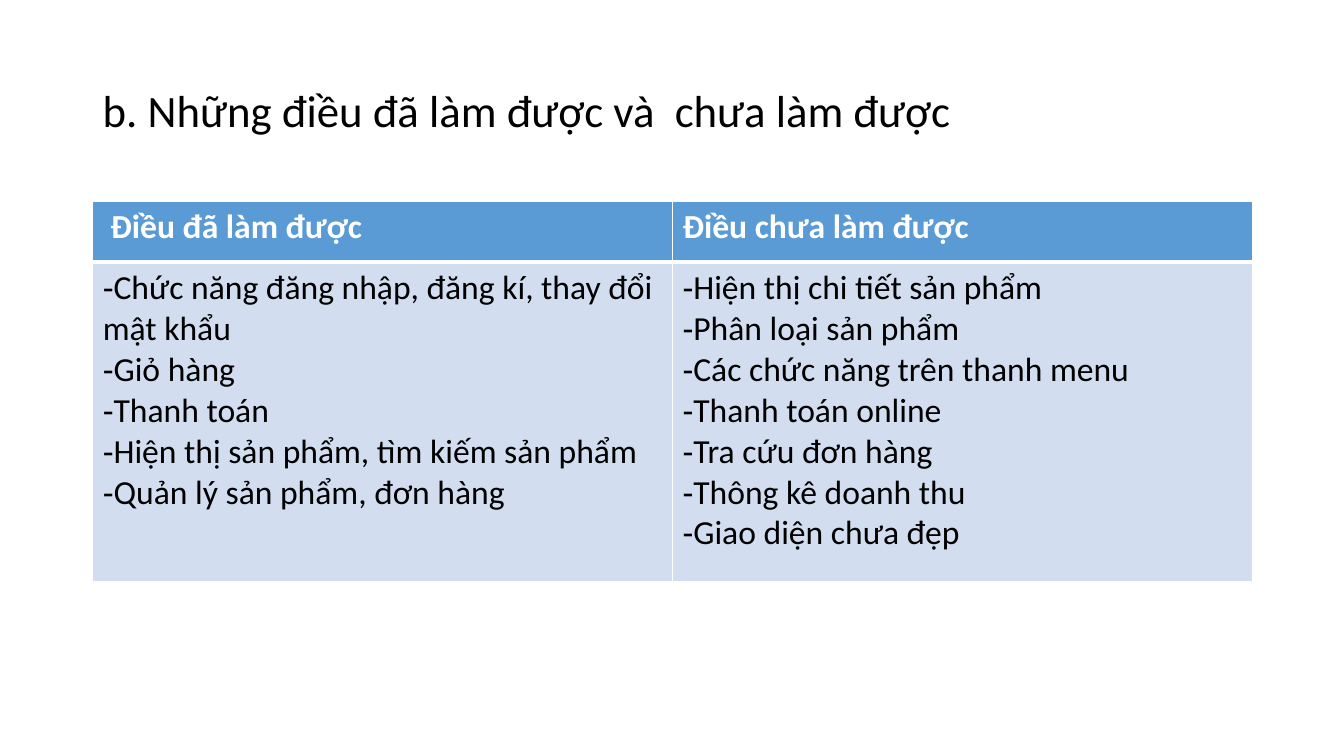
from dataclasses import dataclass

from lxml.etree import SubElement as Sub
from pptx import Presentation
from pptx.dml.color import RGBColor as RGB
from pptx.enum.text import MSO_ANCHOR as Anchor
from pptx.oxml.ns import qn
from pptx.util import Pt

SCALE = 9144


@dataclass(frozen=True)
class Theme:
    """Colours, font and type sizes."""
    font: str = "Calibri"
    ink: str = "000000"
    paper: str = "FFFFFF"
    head: str = "5B9BD5"
    body: str = "D2DEEF"
    title: int = 32
    text: int = 24
    thin: int = 1
    thick: int = 3


THEME = Theme()

TITLE = "b. Những điều đã làm được và  chưa làm được"
LISTS = {
    " Điều đã làm được": [
        "‑Chức năng đăng nhập, đăng kí, thay đổi mật khẩu",
        "‑Giỏ hàng",
        "‑Thanh toán",
        "‑Hiện thị sản phẩm, tìm kiếm sản phẩm",
        "‑Quản lý sản phẩm, đơn hàng",
    ],
    "Điều chưa làm được": [
        "‑Hiện thị chi tiết sản phẩm",
        "‑Phân loại sản phẩm",
        "‑Các chức năng trên thanh menu",
        "‑Thanh toán online",
        "‑Tra cứu đơn hàng",
        "‑Thông kê doanh thu",
        "‑Giao diện chưa đẹp",
    ],
}


def px(*vals):
    """Turn px lengths into EMU."""
    return [val * SCALE for val in vals]


def write(frame, lines, size, color, bold=False):
    """Write one paragraph per line into a text frame."""
    for i, line in enumerate(lines):
        para = frame.add_paragraph() if i else frame.paragraphs[0]
        run = para.add_run()
        run.text = line
        font = run.font
        font.name, font.size, font.bold = THEME.font, Pt(size), bold
        font.color.rgb = RGB.from_string(color)


def edge(cell, **sides):
    """Draw cell borders, given their widths by side."""
    props = cell._tc.get_or_add_tcPr()
    for i, (side, width) in enumerate(sides.items()):
        line = Sub(props, qn(f"a:ln{side}"), w=str(Pt(width)))
        fill = Sub(line, qn("a:solidFill"))
        Sub(fill, qn("a:srgbClr"), val=THEME.paper)
        props.remove(line)
        props.insert(i, line)


def add_title(slide, box):
    """Place the title in its box, centred in height."""
    frame = slide.shapes.add_textbox(*px(*box)).text_frame
    frame.word_wrap = True
    frame.vertical_anchor = Anchor.MIDDLE
    write(frame, [TITLE], THEME.title, THEME.ink)
    frame.paragraphs[0].line_spacing = 0.9


def add_lists(slide, box, top):
    """Place the two-column table, with a head row of the given height."""
    wide, high = box[2:]
    grid = slide.shapes.add_table(2, len(LISTS), *px(*box)).table
    grid.rows[0].height, grid.rows[1].height = px(top, high - top)
    thin, thick = THEME.thin, THEME.thick
    for i, (name, items) in enumerate(LISTS.items()):
        grid.columns[i].width = px(wide // len(LISTS))[0]
        head, body = grid.cell(0, i), grid.cell(1, i)
        for cell, fill in (head, THEME.head), (body, THEME.body):
            cell.fill.solid()
            cell.fill.fore_color.rgb = RGB.from_string(fill)
        write(head.text_frame, [name], THEME.text, THEME.paper, True)
        write(body.text_frame, items, THEME.text, THEME.ink)
        edge(head, L=thin, R=thin, T=thin, B=thick)
        edge(body, L=thin, R=thin, T=thick, B=thin)


def main():
    """Build and save the slide."""
    deck = Presentation()
    deck.slide_width, deck.slide_height = px(1333, 750)
    slide = deck.slides.add_slide(deck.slide_layouts[6])
    add_title(slide, (92, 40, 1150, 145))
    add_lists(slide, (92, 200, 1150, 377), 60)
    deck.save("out.pptx")


if __name__ == "__main__":
    main()
